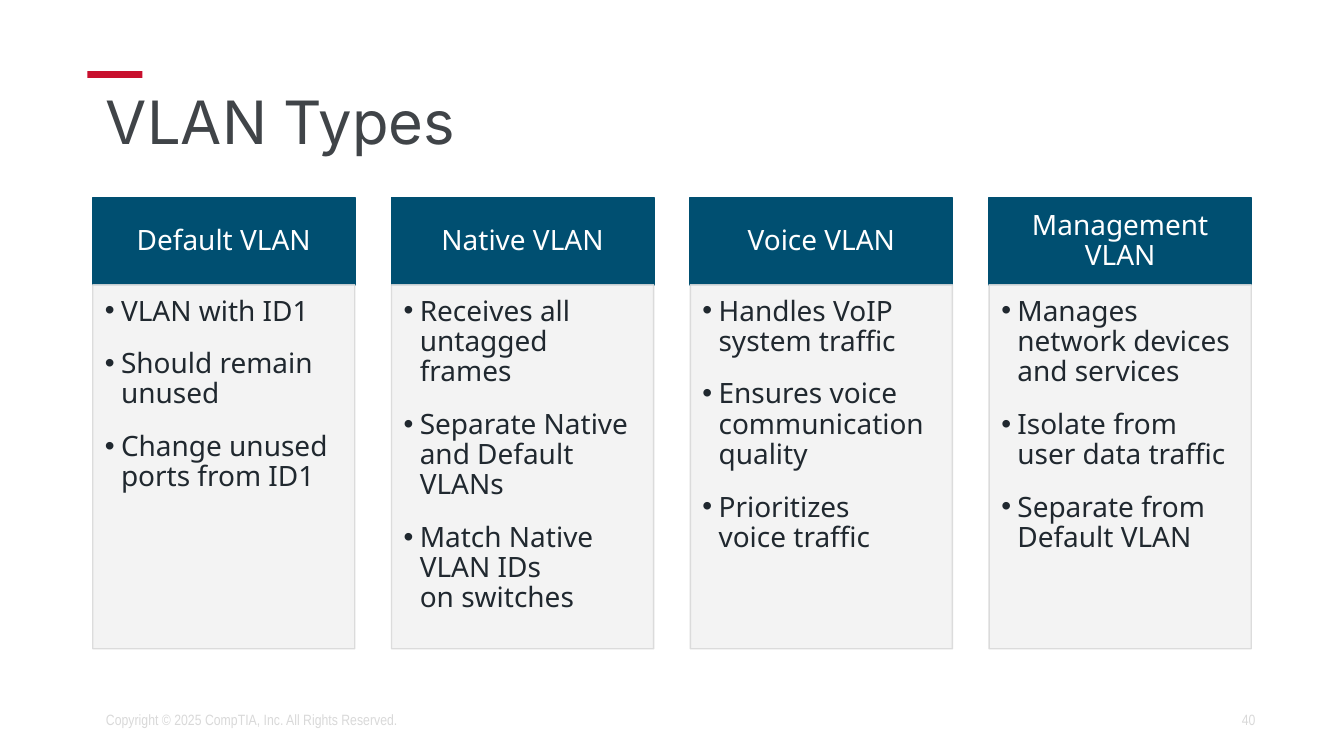
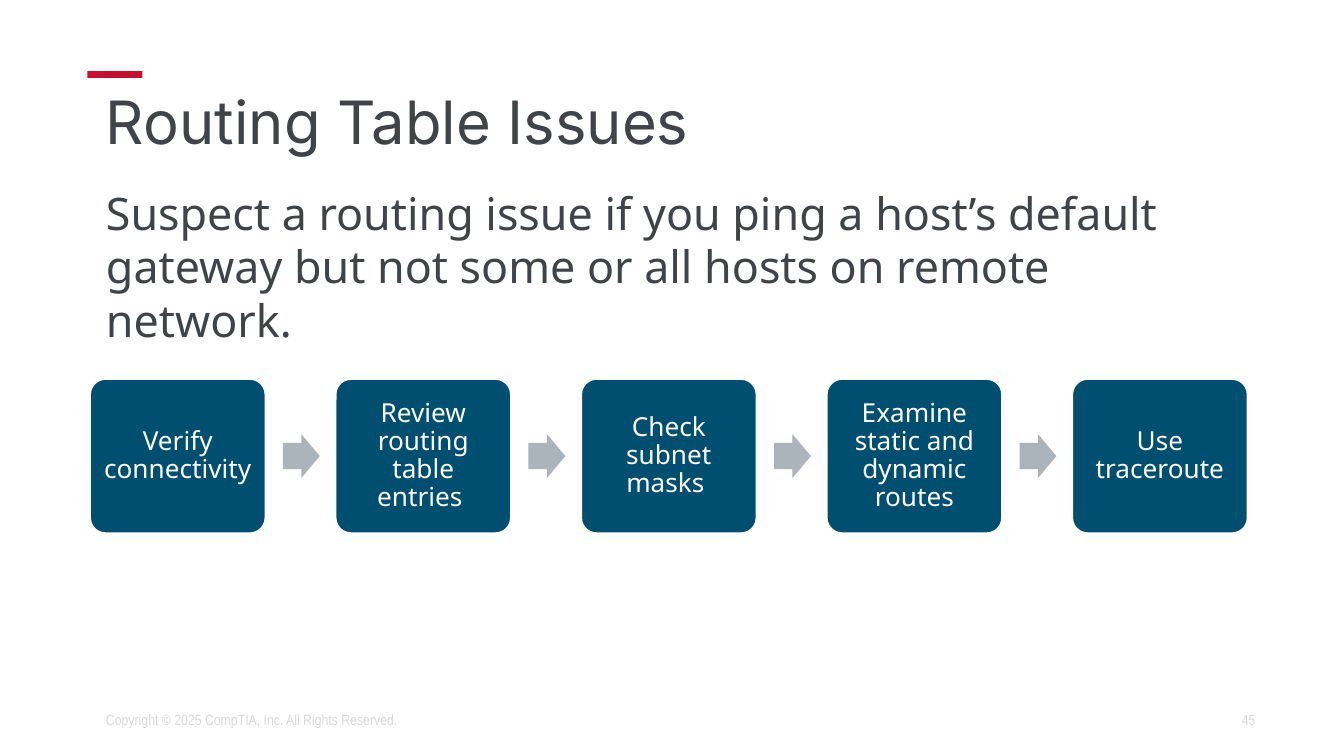
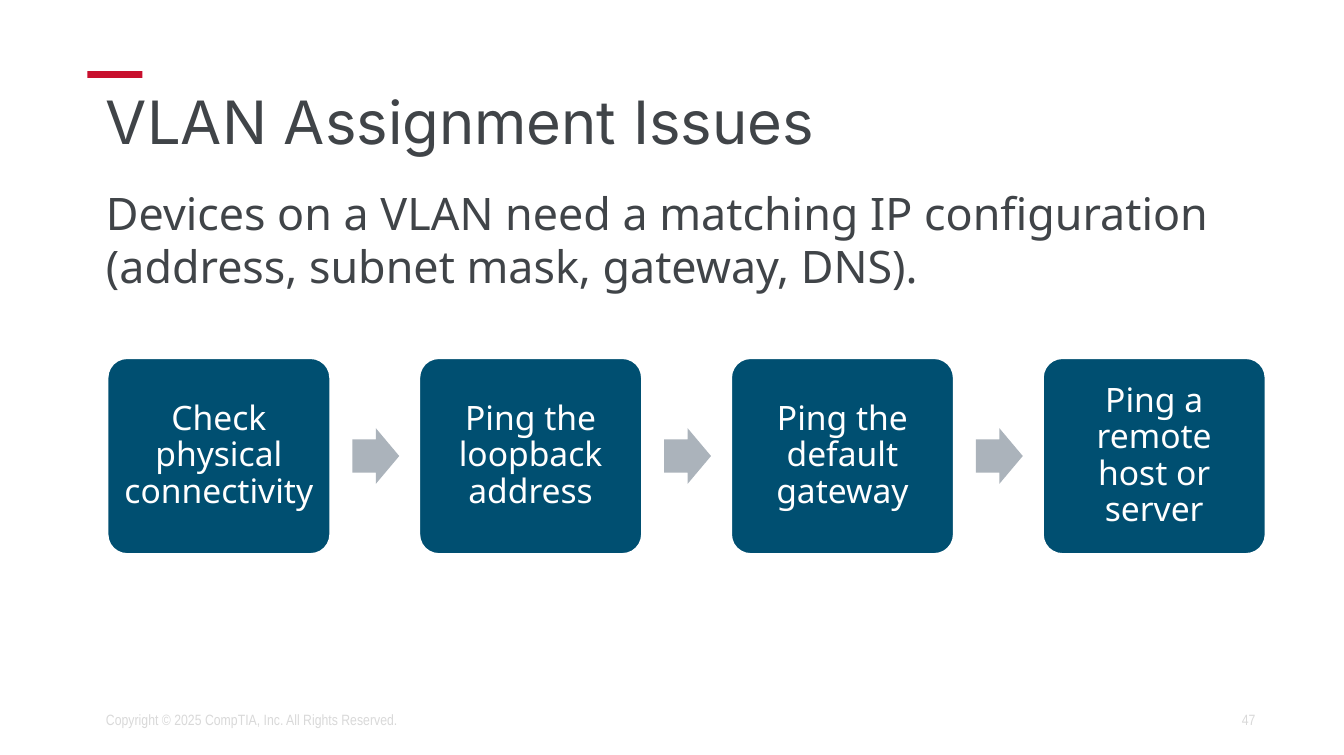
from lxml import etree
from pptx import Presentation
from pptx import util as u
from pptx.dml.color import RGBColor
from pptx.enum import shapes, text
from pptx.oxml.ns import qn

# Positions and sizes are percentages of the slide's width and height.
WIDTH, HEIGHT = 10, 5.62
LEFT, SPAN = 6.9, 86.2
COLORS = {
    "accent": "C8102E", "title": "404448", "footer": "D9D9D9", "navy": "004F71",
    "panel": "F2F2F2", "ink": "20282F", "arrow": "ABB3BB", "white": "FFFFFF",
}
SHAPE = shapes.MSO_SHAPE
ALIGN = text.PP_ALIGN
ANCHOR = text.MSO_ANCHOR


def add_part(slide, x, y, w, h, kind=None, fill=None, line=None, line_width=1, opacity=100):
    """Add a preset shape, or a text box when no kind is given."""
    place = [u.Inches(share / 100 * side)
             for share, side in zip((x, y, w, h), (WIDTH, HEIGHT) * 2)]
    if kind is None:
        return slide.shapes.add_textbox(*place)
    part = slide.shapes.add_shape(kind, *place)
    part.shadow.inherit = False
    part.fill.solid()
    part.fill.fore_color.rgb = RGBColor.from_string(COLORS[fill])
    if line:
        part.line.color.rgb = RGBColor.from_string(COLORS[line])
        part.line.width = u.Pt(line_width)
    else:
        part.line.fill.background()
    if opacity < 100:
        for color in part._element.spPr.iter(qn("a:srgbClr")):
            etree.SubElement(color, qn("a:alpha"), val=str(opacity * 1000))
    return part


def write(part, *paragraphs, size, color, font="Noto Sans", align=ALIGN.LEFT,
          anchor=ANCHOR.TOP, insets=(0.1, 0.05, 0.1, 0.05), spacing=1.0, bullet=None):
    frame = part.text_frame
    frame.word_wrap = True
    frame.vertical_anchor = anchor
    (frame.margin_left, frame.margin_top,
     frame.margin_right, frame.margin_bottom) = [u.Inches(inset) for inset in insets]
    for i, words in enumerate(paragraphs):
        paragraph = frame.add_paragraph() if i else frame.paragraphs[0]
        paragraph.text = words
        paragraph.alignment = align
        paragraph.line_spacing = spacing
        if bullet:
            properties = paragraph._p.get_or_add_pPr()
            properties.set("marL", str(u.Inches(0.12)))
            properties.set("indent", str(u.Inches(-0.12)))
            etree.SubElement(properties, qn("a:buFont"), typeface="Arial")
            etree.SubElement(properties, qn("a:buChar"), char=bullet)
            paragraph.space_before = u.Pt(12 if i else 0)
        for run in paragraph.runs:
            run.font.size = u.Pt(size)
            run.font.name = font
            run.font.color.rgb = RGBColor.from_string(COLORS[color])


prs = Presentation()
prs.slide_width = u.Inches(WIDTH)
prs.slide_height = u.Inches(HEIGHT)

# Title, accent bar and footer on every slide
slides = []
for title, number in [("VLAN Types", 40), ("Routing Table Issues", 45),
                      ("VLAN Assignment Issues", 47)]:
    slide = prs.slides.add_slide(prs.slide_layouts[6])
    slides.append(slide)
    add_part(slide, 6.5, 9.43, 4.1, 0.89, SHAPE.RECTANGLE, "accent")
    write(add_part(slide, LEFT, 11.39, SPAN, 11.21), title,
          size=32, color="title", font="Inter", spacing=0.9)
    for x, w, footer, align in [
        (70.6, 23.8, str(number), ALIGN.RIGHT),
        (LEFT, 43.1, "Copyright © 2025 CompTIA, Inc. All Rights Reserved.", ALIGN.LEFT),
    ]:
        write(add_part(slide, x, 92.7, w, 5.34), footer, size=8, color="footer",
              font="Arial Narrow", align=align, anchor=ANCHOR.MIDDLE)

# VLAN types: four columns
vlan_types = {
    "Default VLAN": ["VLAN with ID1", "Should remain unused", "Change unused ports from ID1"],
    "Native VLAN": ["Receives all untagged frames", "Separate Native and Default VLANs",
                    "Match Native VLAN IDs\non switches"],
    "Voice VLAN": ["Handles VoIP system traffic", "Ensures voice communication quality",
                   "Prioritizes\nvoice traffic"],
    "Management VLAN": ["Manages network devices and services",
                        "Isolate from user data traffic", "Separate from Default VLAN"],
}
column_width = 19.5
column_step = (SPAN - column_width) / (len(vlan_types) - 1)
for column, (vlan, facts) in enumerate(vlan_types.items()):
    x = LEFT + column * column_step
    heading = add_part(slides[0], x, 26.16, column_width, 11.57, SHAPE.RECTANGLE,
                       "navy", "navy")
    write(heading, vlan, size=15, color="white", align=ALIGN.CENTER, anchor=ANCHOR.MIDDLE,
          insets=(0.12, 0.07, 0.12, 0.07), spacing=0.9)
    panel = add_part(slides[0], x, 37.72, column_width, 48.22, SHAPE.RECTANGLE,
                     "panel", "footer", 0.75, opacity=90)
    write(panel, *facts, size=15, color="ink", insets=(0.09, 0.09, 0.12, 0.13),
          spacing=0.9, bullet="•")

# Troubleshooting: an introduction above a row of steps
processes = [
    (slides[1], "Suspect a routing issue if you ping a host’s default\n"
                "gateway but not some or all hosts on remote network.",
     ["Verify connectivity ", "Review routing table entries ", "Check subnet masks ",
      "Examine static and dynamic routes", "Use traceroute"],
     6.7, 13.05, 14, 0.06),
    (slides[2], "Devices on a VLAN need a matching IP configuration\n"
                "(address, subnet mask, gateway, DNS).",
     ["Check physical connectivity", "Ping the loopback address",
      "Ping the default gateway", "Ping a remote host or server"],
     8, 16.57, 18, 0.07),
]
middle = 60.41
for slide, introduction, steps, start, step_width, size, inset in processes:
    step_height = 0.88 * step_width * WIDTH / HEIGHT
    arrow_height = 0.25 * step_width * WIDTH / HEIGHT
    for i, step in enumerate(steps):
        x = start + i * 1.4 * step_width
        if i:
            add_part(slide, x - 0.3 * step_width, middle - arrow_height / 2,
                     0.21 * step_width, arrow_height, SHAPE.RIGHT_ARROW,
                     "arrow").adjustments[0] = 0.6
        box = add_part(slide, x, middle - step_height / 2, step_width, step_height,
                       SHAPE.ROUNDED_RECTANGLE, "navy", "white")
        box.adjustments[0] = 0.1
        write(box, step, size=size, color="white", align=ALIGN.CENTER,
              anchor=ANCHOR.MIDDLE, insets=(inset,) * 4, spacing=0.9)
    write(add_part(slide, LEFT, 23.67, SPAN, 64.77), introduction, size=24, color="title")

prs.save("out.pptx")
